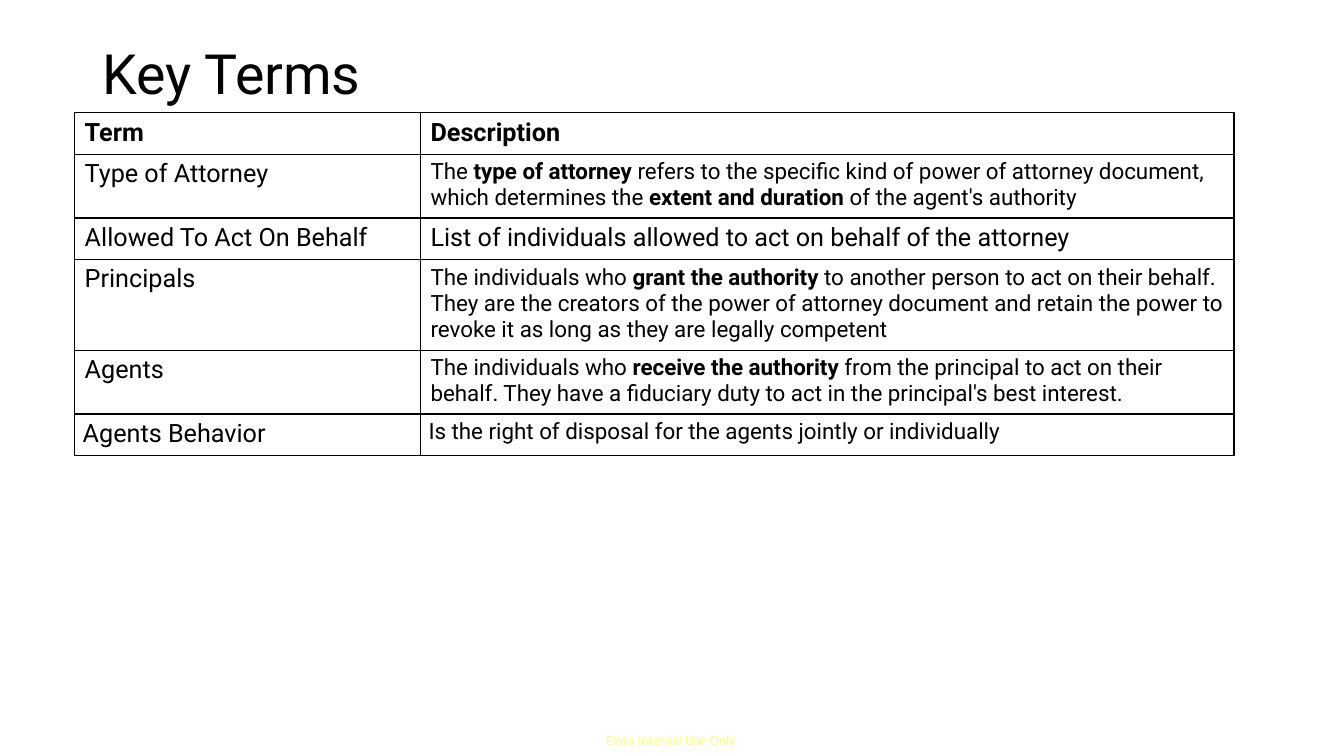
from dataclasses import dataclass

from lxml import etree
from pptx import Presentation
from pptx import util as u
from pptx.dml.color import RGBColor
from pptx.enum import text
from pptx.oxml import ns


@dataclass(frozen=True)
class Theme:
    font: str = "Roboto"
    footer_font: str = "Calibri"
    ink: str = "000000"
    footer_ink: str = "FFFF00"
    title_size: float = 39.6
    term_size: int = 18
    detail_size: int = 16
    footer_size: int = 10
    border_width: int = 1


THEME = Theme()
COLUMN_WIDTHS = (3.43, 8.07)

# Row height, term, description size, description with ** around bold words
ROWS = [
    (0.41, "**Term**", THEME.term_size, "**Description**"),
    (0.62, "Type of Attorney", THEME.detail_size,
     "The **type of attorney** refers to the specific kind of power of attorney document, "
     "which determines the **extent and duration** of the agent's authority"),
    (0.41, "Allowed To Act On Behalf", THEME.term_size,
     "List of individuals allowed to act on behalf of the attorney"),
    (0.87, "Principals", THEME.detail_size,
     "The individuals who **grant the authority** to another person to act on their behalf. "
     "They are the creators of the power of attorney document and retain the power to "
     "revoke it as long as they are legally competent"),
    (0.62, "Agents", THEME.detail_size,
     "The individuals who **receive the authority** from the principal to act on their "
     "behalf. They have a fiduciary duty to act in the principal's best interest."),
    (0.41, "Agents Behavior", THEME.detail_size,
     "Is the right of disposal for the agents jointly or individually"),
]


def set_font(para, size, name=THEME.font, color=THEME.ink):
    para.font.name = name
    para.font.size = u.Pt(size)
    para.font.color.rgb = RGBColor.from_string(color)


def add_title(page, words):
    title = page.shapes.title
    title.left, title.top = u.Inches(0.92), u.Inches(0.4)
    title.width, title.height = u.Inches(11.5), u.Inches(0.72)
    frame = title.text_frame
    frame.text = words
    frame.word_wrap = True
    frame.auto_size = text.MSO_AUTO_SIZE.NONE
    frame.vertical_anchor = text.MSO_ANCHOR.MIDDLE
    para = frame.paragraphs[0]
    para.alignment = text.PP_ALIGN.LEFT
    para.line_spacing = 0.9
    set_font(para, THEME.title_size)


def add_borders(cell):
    props = cell._tc.get_or_add_tcPr()
    for position, side in enumerate(("lnL", "lnR", "lnT", "lnB")):
        line = etree.Element(ns.qn(f"a:{side}"), w=str(u.Pt(THEME.border_width)))
        fill = etree.SubElement(line, ns.qn("a:solidFill"))
        etree.SubElement(fill, ns.qn("a:srgbClr"), val=THEME.ink)
        props.insert(position, line)


def fill_cell(cell, marked_text, size, side_inset):
    cell.fill.background()
    cell.margin_left = cell.margin_right = u.Inches(side_inset)
    cell.margin_top = cell.margin_bottom = u.Inches(0.05)
    para = cell.text_frame.paragraphs[0]
    for index, words in enumerate(marked_text.split("**")):
        if words:
            span = para.add_run()
            span.text = words
            span.font.bold = index % 2 == 1
    set_font(para, size)
    add_borders(cell)


def add_terms_table(page):
    frame = page.shapes.add_table(
        len(ROWS), len(COLUMN_WIDTHS), u.Inches(0.74), u.Inches(1.12),
        u.Inches(sum(COLUMN_WIDTHS)), u.Inches(sum(row[0] for row in ROWS)))
    table = frame.table
    table.first_row = table.horz_banding = False
    for column, width in zip(table.columns, COLUMN_WIDTHS):
        column.width = u.Inches(width)
    for index, (height, term, size, description) in enumerate(ROWS):
        table.rows[index].height = u.Inches(height)
        side_inset = 0.08 if index == len(ROWS) - 1 else 0.1
        fill_cell(table.cell(index, 0), term, THEME.term_size, side_inset)
        fill_cell(table.cell(index, 1), description, size, side_inset)


def add_footer(page, words):
    box = page.shapes.add_textbox(u.Inches(6.01), u.Inches(7.26), u.Inches(1.34), u.Inches(0.17))
    frame = box.text_frame
    frame.margin_left = frame.margin_right = frame.margin_top = frame.margin_bottom = 0
    frame.word_wrap = True
    frame.auto_size = text.MSO_AUTO_SIZE.SHAPE_TO_FIT_TEXT
    para = frame.paragraphs[0]
    para.text = words
    set_font(para, THEME.footer_size, THEME.footer_font, THEME.footer_ink)
    # Half-transparent lettering
    for color in para._p.iter(ns.qn("a:srgbClr")):
        etree.SubElement(color, ns.qn("a:alpha"), val="50000")


def main():
    deck = Presentation()
    deck.slide_width, deck.slide_height = u.Inches(13.33), u.Inches(7.5)
    page = deck.slides.add_slide(deck.slide_layouts[5])
    add_footer(page, "Elora Internal Use Only")
    add_title(page, "Key Terms")
    add_terms_table(page)
    deck.save("out.pptx")


if __name__ == "__main__":
    main()
